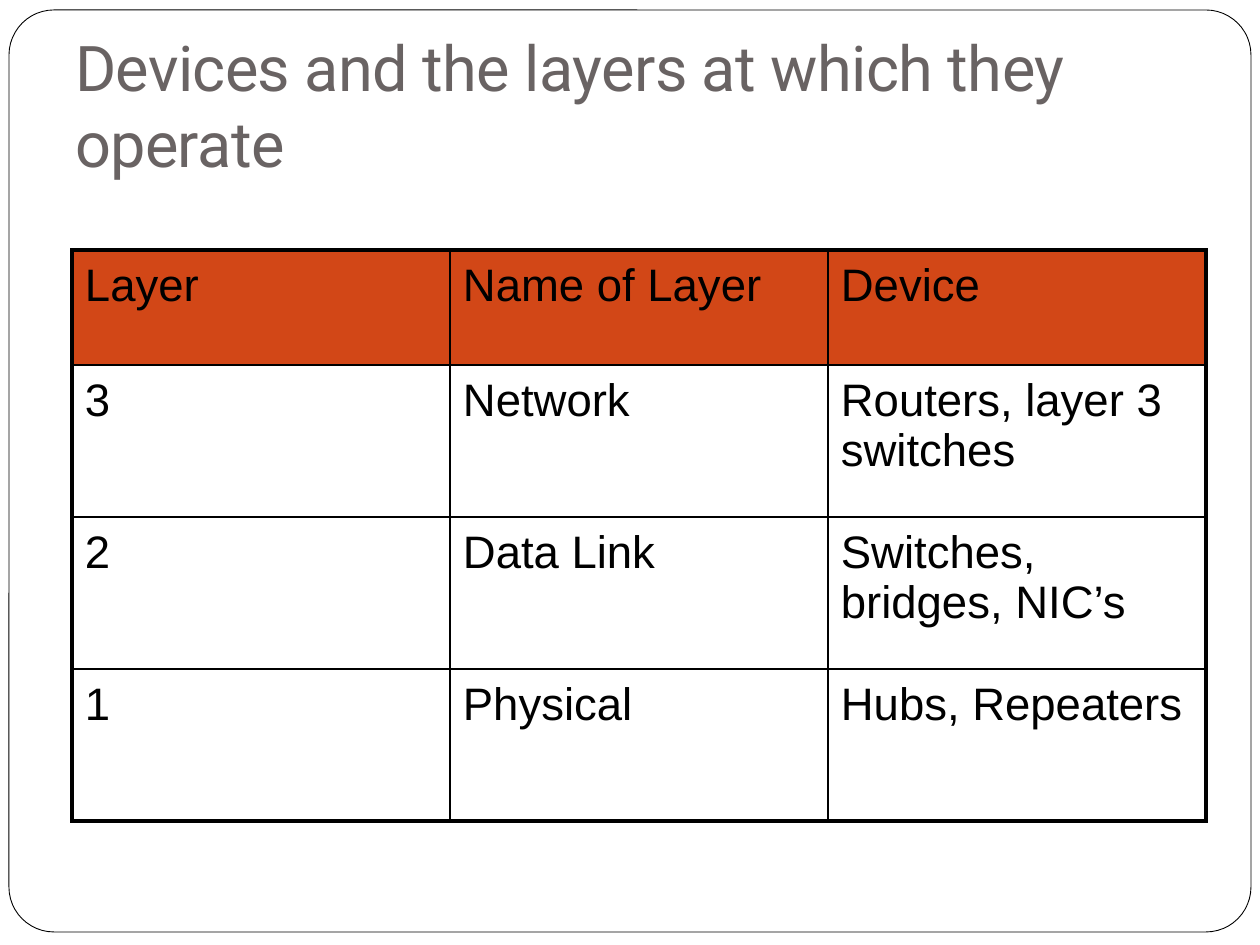
from lxml.etree import SubElement
from pptx import Presentation
from pptx.dml.color import RGBColor
from pptx.enum.shapes import MSO_SHAPE as Shape
from pptx.enum.text import MSO_ANCHOR as Anchor, PP_ALIGN as Align
from pptx.oxml.ns import qn
from pptx.util import Emu, Pt

PX = 914400 // 126
HUES = {"ink": "000000", "title": "696363", "head": "D24717", "page": "FFFFFF"}
ROWS = [
    ("Layer", "Name of Layer", "Device"),
    ("3", "Network", "Routers, layer 3 switches"),
    ("2", "Data Link", "Switches, bridges, NIC’s"),
    ("1", "Physical", "Hubs, Repeaters"),
]
HEAD, BODY = 115, 152
THIN, THICK = 1, 2.25


def px(n):
    return Emu(n * PX)


def hue(name):
    return RGBColor.from_string(HUES[name])


def style(para, face, size, color):
    font = para.font
    font.name, font.size = face, Pt(size)
    font.color.rgb = hue(color)
    font.bold = False


def add_frame(slide, x, y, w, h):
    frame = slide.shapes.add_shape(Shape.ROUNDED_RECTANGLE, px(x), px(y), px(w), px(h))
    frame.adjustments[0] = 45 / h
    frame.shadow.inherit = False
    frame.fill.background()
    frame.line.color.rgb = hue("ink")
    frame.line.width = Pt(0.5)


def add_title(slide, x, y, w, h):
    title = slide.shapes.title
    title.left, title.top, title.width, title.height = map(px, (x, y, w, h))
    text = title.text_frame
    text.margin_left = text.margin_right = text.margin_bottom = 0
    text.margin_top = px(1)
    text.vertical_anchor = Anchor.TOP
    text.word_wrap = True
    para = text.paragraphs[0]
    run = para.add_run()
    run.text = "Devices and the layers at which they operate"
    run._r.get_or_add_rPr().set("spc", "-35")
    para.alignment = Align.LEFT
    style(para, "Roboto", 36, "title")


def add_edges(cell, widths):
    props = cell._tc.get_or_add_tcPr()
    for spot, (side, width) in enumerate(widths.items()):
        line = props.makeelement(qn(f"a:ln{side}"), {"w": str(Pt(width))})
        fill = SubElement(line, qn("a:solidFill"))
        SubElement(fill, qn("a:srgbClr"), val=HUES["ink"])
        props.insert(spot, line)


def add_grid(slide, x, y, w):
    count, wide = len(ROWS), len(ROWS[0])
    tall = HEAD + BODY * (count - 1)
    grid = slide.shapes.add_table(count, wide, px(x), px(y), px(w), px(tall)).table
    for col in grid.columns:
        col.width = px(w // wide)
    for r, words in enumerate(ROWS):
        grid.rows[r].height = px(BODY if r else HEAD)
        for c, word in enumerate(words):
            cell = grid.cell(r, c)
            cell.text = word
            cell.margin_left, cell.margin_top = px(13), px(10)
            cell.margin_right = cell.margin_bottom = 0
            cell.fill.solid()
            cell.fill.fore_color.rgb = hue("page" if r else "head")
            style(cell.text_frame.paragraphs[0], "Arial", 26, "ink")
            outer = {"L": c == 0, "R": c == wide - 1, "T": r == 0, "B": r == count - 1}
            add_edges(cell, {k: THICK if v else THIN for k, v in outer.items()})


def main():
    deck = Presentation()
    deck.slide_width, deck.slide_height = px(1260), px(945)
    slide = deck.slides.add_slide(deck.slide_layouts[5])
    add_frame(slide, 9, 10, 1242, 922)
    add_title(slide, 75, 28, 1113, 155)
    add_grid(slide, 72, 250, 1134)
    deck.save("out.pptx")


if __name__ == "__main__":
    main()
